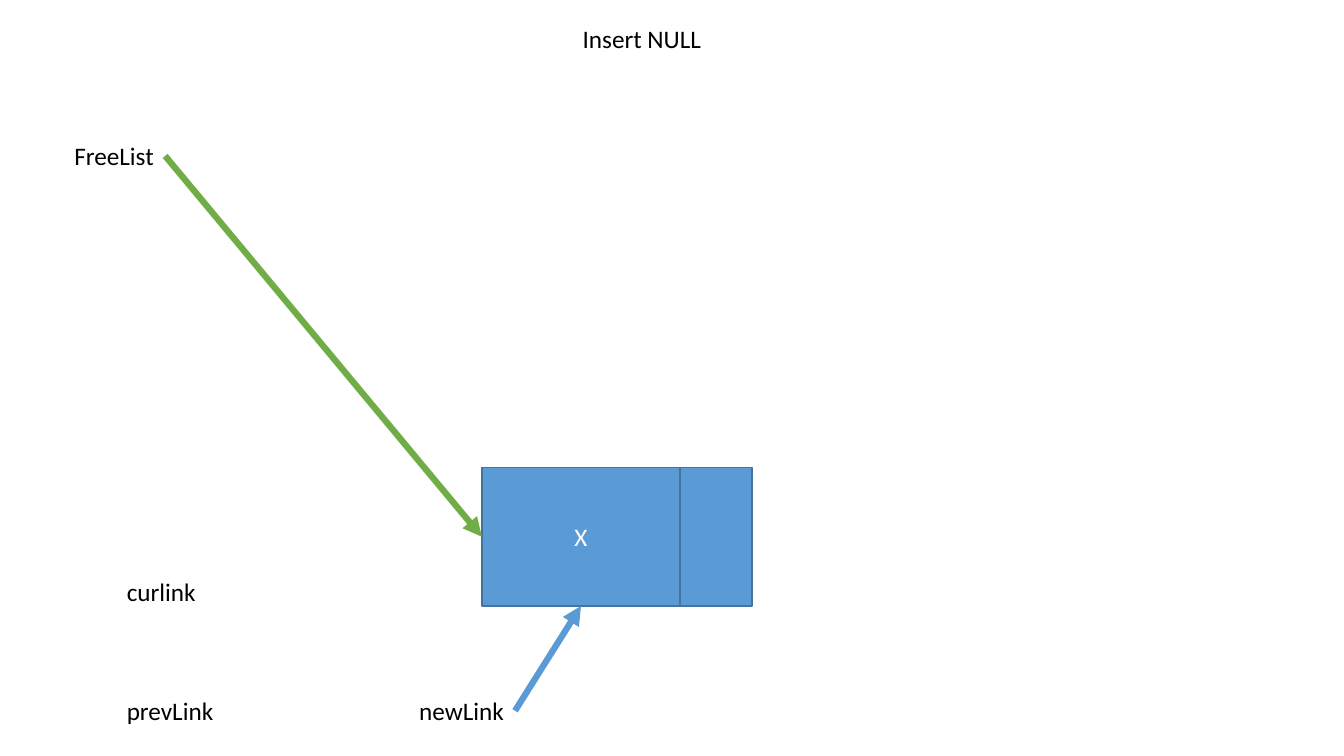
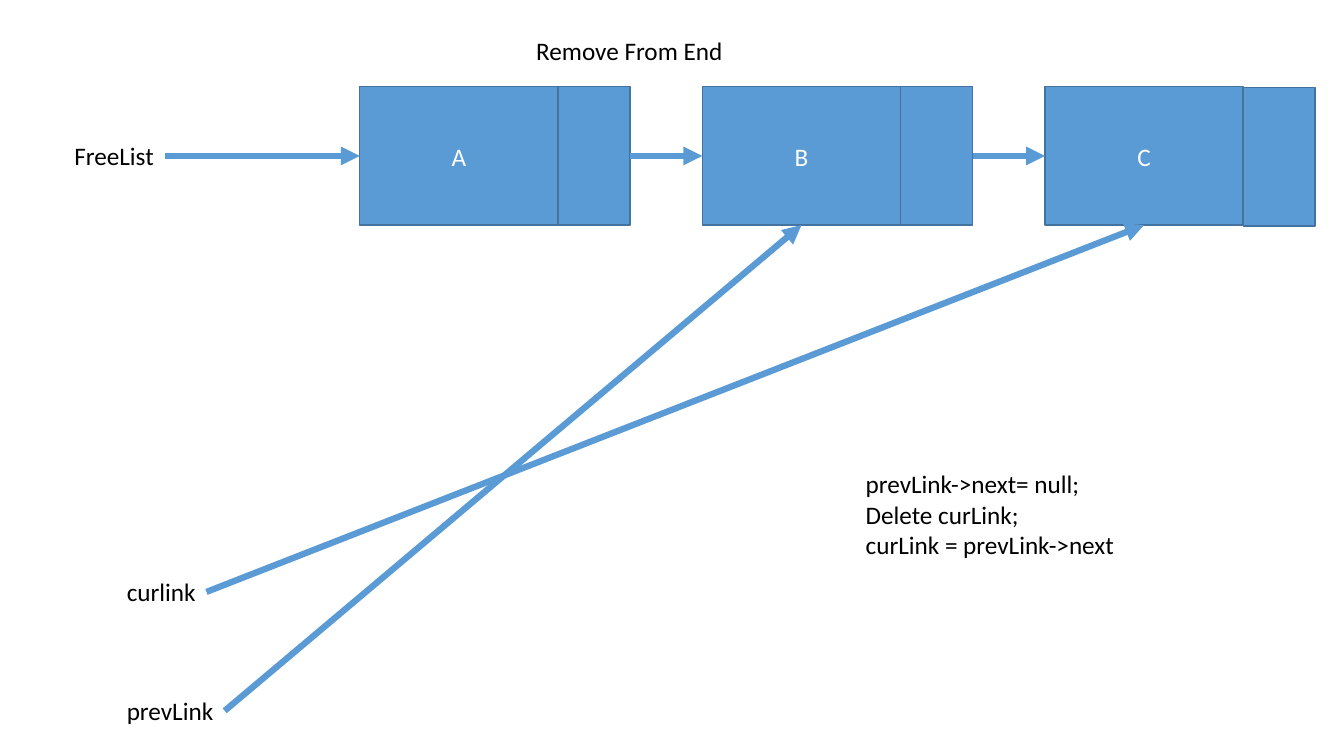
from dataclasses import dataclass

from lxml import etree
from pptx import Presentation
from pptx.dml.color import RGBColor
from pptx.enum import shapes, text
from pptx.oxml.ns import qn
from pptx.util import Pt


@dataclass(frozen=True)
class Theme:
    font: str = "Calibri"
    size: float = 18
    ink: str = "000000"
    paper: str = "FFFFFF"
    blue: str = "5B9BD5"
    edge: str = "43739E"
    green: str = "70AD47"
    edge_width: float = 1
    arrow_width: float = 4.5


T = Theme()
SLIDE_W, SLIDE_H = 960, 540
LINE_H = 29
NODE_W, LINK_W, NODE_H = 141.6, 51.4, 98.8
ROW_X, ROW_Y, ROW_PITCH = 257, 62, 244.7
LEFT, BOTTOM, RIGHT = 1, 2, 3

POINTERS = [
    ("FreeList", 46, 96.9, 72, LINE_H),
    ("curlink", 83.5, 408.3, 64, LINE_H),
    ("prevLink", 83.5, 493.2, 77, LINE_H),
]
SLIDES = [
    {
        "title": ("Insert NULL", 409, 13, 100, LINE_H),
        "labels": [("newLink", 292.3, 493.2, 75.6, LINE_H)],
        "nodes": [("X", 344.2, 334, 0)],
        "arrows": [
            ("FreeList", "X", LEFT, T.green),
            ("newLink", "X", BOTTOM, T.blue),
        ],
    },
    {
        "title": ("Remove From End", 375.8, 21.6, 149, LINE_H),
        "labels": [
            ("prevLink->next= null;\nDelete curLink;\ncurLink = prevLink->next",
             611.3, 331.2, 194.4, 72.7),
        ],
        "nodes": [
            (name, ROW_X + i * ROW_PITCH, ROW_Y, drop)
            for i, (name, drop) in enumerate([("A", 0), ("B", 0), ("C", 0.7)])
        ],
        "arrows": [
            ("FreeList", "A", LEFT, T.blue),
            ("A", "B", LEFT, T.blue),
            ("B", "C", LEFT, T.blue),
            ("curlink", "C", BOTTOM, T.blue),
            ("prevLink", "B", BOTTOM, T.blue),
        ],
    },
]


def rgb(color):
    return RGBColor.from_string(color)


def write(sp, content, color, align):
    tf = sp.text_frame
    for i, line in enumerate(content.split("\n")):
        p = tf.add_paragraph() if i else tf.paragraphs[0]
        p.alignment = align
        p.line_spacing = 1.0
        r = p.add_run()
        r.text = line
        r.font.name = T.font
        r.font.size = Pt(T.size)
        r.font.color.rgb = rgb(color)


def write_label(sp, content):
    tf = sp.text_frame
    tf.word_wrap = False
    tf.auto_size = text.MSO_AUTO_SIZE.SHAPE_TO_FIT_TEXT
    tf.vertical_anchor = text.MSO_ANCHOR.TOP
    write(sp, content, T.ink, text.PP_ALIGN.LEFT)


def add_title(s, content, *box):
    sp = s.shapes.title
    sp.left, sp.top, sp.width, sp.height = map(Pt, box)
    write_label(sp, content)


def add_label(s, content, *box):
    sp = s.shapes.add_textbox(*map(Pt, box))
    write_label(sp, content)
    return sp


def add_cell(group, *box):
    sp = group.shapes.add_shape(shapes.MSO_SHAPE.RECTANGLE, *map(Pt, box))
    sp.shadow.inherit = False
    sp.fill.solid()
    sp.fill.fore_color.rgb = rgb(T.blue)
    sp.line.color.rgb = rgb(T.edge)
    sp.line.width = Pt(T.edge_width)
    return sp


def add_node(s, name, x, y, drop):
    group = s.shapes.add_group_shape()
    value = add_cell(group, x, y, NODE_W, NODE_H)
    value.text_frame.vertical_anchor = text.MSO_ANCHOR.MIDDLE
    write(value, name, T.paper, text.PP_ALIGN.CENTER)
    link = add_cell(group, x + NODE_W, y + drop, LINK_W, NODE_H)
    return value, link


def add_arrow(s, source, target, side, color):
    line = s.shapes.add_connector(shapes.MSO_CONNECTOR.STRAIGHT, 0, 0, 0, 0)
    line.begin_connect(source, RIGHT)
    line.end_connect(target, side)
    line.line.color.rgb = rgb(color)
    line.line.width = Pt(T.arrow_width)
    sp_pr = line.line._get_or_add_ln().getparent()
    etree.SubElement(line.line._get_or_add_ln(), qn("a:tailEnd"), type="triangle")
    etree.SubElement(sp_pr, qn("a:effectLst"))


def build(prs, content):
    s = prs.slides.add_slide(prs.slide_layouts[5])
    s.background.fill.solid()
    s.background.fill.fore_color.rgb = rgb(T.paper)
    add_title(s, *content["title"])
    sources, targets = {}, {}
    for label in POINTERS + content["labels"]:
        sources[label[0]] = add_label(s, *label)
    for node in content["nodes"]:
        targets[node[0]], sources[node[0]] = add_node(s, *node)
    for start, end, side, color in content["arrows"]:
        add_arrow(s, sources[start], targets[end], side, color)


prs = Presentation()
prs.slide_width, prs.slide_height = Pt(SLIDE_W), Pt(SLIDE_H)
for content in SLIDES:
    build(prs, content)
prs.save("out.pptx")
